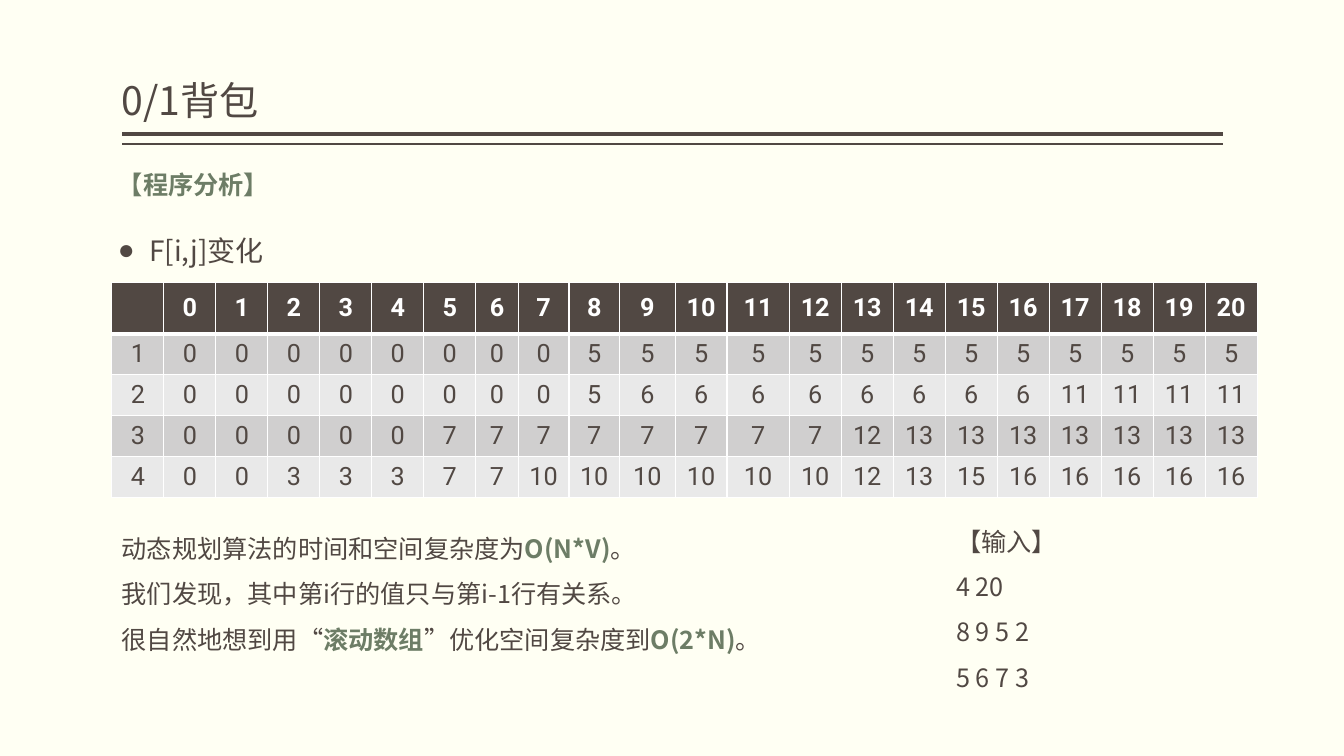
import dataclasses

import lxml.etree
import pptx
import pptx.dml.color
import pptx.enum.shapes
import pptx.enum.text
import pptx.oxml
import pptx.oxml.ns
import pptx.util

Cm = pptx.util.Cm
Pt = pptx.util.Pt
qn = pptx.oxml.ns.qn
MIDDLE = pptx.enum.text.MSO_ANCHOR.MIDDLE
BOTTOM = pptx.enum.text.MSO_ANCHOR.BOTTOM
CENTER = pptx.enum.text.PP_ALIGN.CENTER


@dataclasses.dataclass(frozen=True)
class Theme:
    """Colours, fonts and type sizes of the slide."""
    background: str = "FFFFF3"
    ink: str = "514843"
    accent: str = "6D7D66"
    white: str = "FFFFFF"
    bands: tuple = ("D0CFCF", "E9E9E9")
    text_font: str = "Noto Sans CJK SC"
    table_font: str = "Roboto"
    bullet_font: str = "Arial"
    title_size: int = 28
    bullet_size: int = 20
    body_size: int = 18


THEME = Theme()
CAPACITY = 20
WEIGHTS = (8, 9, 5, 2)
VALUES = (5, 6, 7, 3)
COLUMN_WIDTHS = [1.31] * 7 + [1.07, 1.28, 1.27, 1.41, 1.3, 1.57] + [1.31] * 9
HEADER_HEIGHT, ROW_HEIGHT = 1.3, 1.03

COMPLEXITY_LINES = [
    [("动态规划算法的时间和空间复杂度为", False), ("O(N*V)", True), ("。", False)],
    [("我们发现，其中第i行的值只与第i-1行有关系。", False)],
    [("很自然地想到用“", False), ("滚动数组", True), ("”优化空间复杂度到", False),
     ("O(2*N)", True), ("。", False)],
]
INPUT_LINES = [[(line, False)] for line in ("【输入】", "4 20", "8 9 5 2", "5 6 7 3")]


def rgb(value):
    """Turn a hex string into a colour."""
    return pptx.dml.color.RGBColor.from_string(value)


def apply(target, formats):
    """Set every attribute in the dict on the target."""
    for name, value in formats.items():
        setattr(target, name, value)


def add_run(paragraph, text, size, color, bold=False, font_name=THEME.text_font):
    """Append a run with its font for Latin and East Asian text."""
    run = paragraph.add_run()
    run.text = text
    apply(run.font, {"name": font_name, "size": Pt(size), "bold": bold})
    run.font.color.rgb = rgb(color)
    east_asian = lxml.etree.Element(qn("a:ea"), typeface=font_name)
    run.font._element.find(qn("a:latin")).addnext(east_asian)


def add_text_frame(slide, box, formats=None):
    """Add a wrapping text box and return its frame."""
    frame = slide.shapes.add_textbox(*map(Cm, box)).text_frame
    apply(frame, {"word_wrap": True, **(formats or {})})
    return frame


def add_bullet(paragraph, indent):
    """Give a paragraph a round bullet with a hanging indent."""
    properties = paragraph._p.get_or_add_pPr()
    properties.set("marL", str(Cm(indent)))
    properties.set("indent", str(-Cm(indent)))
    lxml.etree.SubElement(properties, qn("a:buFont"), typeface=THEME.bullet_font)
    lxml.etree.SubElement(properties, qn("a:buChar"), char="●")


def add_title(slide, box):
    """Place the title and the double rule below it."""
    left, top, width, height = box
    frame = add_text_frame(slide, box, {
        "margin_left": 0, "margin_right": 0, "vertical_anchor": BOTTOM})
    paragraph = frame.paragraphs[0]
    paragraph.line_spacing = 0.9
    add_run(paragraph, "0/1背包", THEME.title_size, THEME.ink)
    for gap, weight in ((0.13, 3), (0.38, 1)):
        y = Cm(top + height + gap)
        rule = slide.shapes.add_connector(
            pptx.enum.shapes.MSO_CONNECTOR.STRAIGHT, Cm(left + width), y, Cm(left), y)
        rule.line.color.rgb = rgb(THEME.ink)
        rule.line.width = Pt(weight)
        lxml.etree.SubElement(rule._element.spPr, qn("a:effectLst"))


def add_heading(slide, box):
    """Place the section heading and the bullet line."""
    frame = add_text_frame(slide, box)
    add_run(frame.paragraphs[0], "【程序分析】", THEME.body_size, THEME.accent, True)
    paragraph = frame.add_paragraph()
    add_bullet(paragraph, 0.79)
    paragraph.line_spacing = 2.0
    add_run(paragraph, "F[i,j]变化", THEME.bullet_size, THEME.ink)


def knapsack_rows():
    """Work out the table text: capacities, then the best value per item count."""
    best = [0] * (CAPACITY + 1)
    rows = [["", *range(CAPACITY + 1)]]
    for item, (weight, value) in enumerate(zip(WEIGHTS, VALUES), start=1):
        best = [max(best[room], best[room - weight] + value) if room >= weight
                else best[room] for room in range(CAPACITY + 1)]
        rows.append([item, *best])
    return rows


def add_border(cell, side, weight):
    """Draw one white cell border."""
    line = lxml.etree.SubElement(
        cell._tc.get_or_add_tcPr(), qn(f"a:ln{side}"), w=str(Pt(weight)))
    fill = lxml.etree.SubElement(line, qn("a:solidFill"))
    lxml.etree.SubElement(fill, qn("a:srgbClr"), val=THEME.white)


def add_value_table(slide, left, top):
    """Place the table of F[i,j]."""
    rows = knapsack_rows()
    heights = [HEADER_HEIGHT] + [ROW_HEIGHT] * len(WEIGHTS)
    table = slide.shapes.add_table(
        len(rows), len(COLUMN_WIDTHS), Cm(left), Cm(top),
        Cm(sum(COLUMN_WIDTHS)), Cm(sum(heights))).table
    for column, width in zip(table.columns, COLUMN_WIDTHS):
        column.width = Cm(width)
    for row_index, (values, height) in enumerate(zip(rows, heights)):
        table.rows[row_index].height = Cm(height)
        header = row_index == 0
        fill = THEME.ink if header else THEME.bands[(row_index - 1) % 2]
        color = THEME.white if header else THEME.ink
        weights = {"L": 1, "R": 1, "T": 3 if row_index == 1 else 1, "B": 3 if header else 1}
        for column_index, value in enumerate(values):
            cell = table.cell(row_index, column_index)
            cell.vertical_anchor = MIDDLE
            for side, weight in weights.items():
                add_border(cell, side, weight)
            cell.fill.solid()
            cell.fill.fore_color.rgb = rgb(fill)
            paragraph = cell.text_frame.paragraphs[0]
            paragraph.alignment = CENTER
            if value != "":
                add_run(paragraph, str(value), THEME.body_size, color, header,
                        THEME.table_font)


def add_notes(slide, box, lines):
    """Place lines of body text with accented parts."""
    frame = add_text_frame(slide, box)
    for index, parts in enumerate(lines):
        paragraph = frame.add_paragraph() if index else frame.paragraphs[0]
        paragraph.line_spacing = 1.5
        for text, accented in parts:
            color = THEME.accent if accented else THEME.ink
            add_run(paragraph, text, THEME.body_size, color, accented)


def main():
    """Build the slide and save it."""
    presentation = pptx.Presentation()
    apply(presentation, {"slide_width": Cm(33.87), "slide_height": Cm(19.05)})
    slide = presentation.slides.add_slide(presentation.slide_layouts[6])
    slide.background.fill.solid()
    slide.background.fill.fore_color.rgb = rgb(THEME.background)
    add_title(slide, (3.07, 0.2, 27.74, 3.05))
    add_heading(slide, (2.72, 4.14, 28.45, 4.04))
    add_value_table(slide, 2.82, 7.11)
    add_notes(slide, (2.82, 12.93, 24.36, 4.5), COMPLEXITY_LINES)
    add_notes(slide, (23.85, 12.75, 3.61, 4.75), INPUT_LINES)
    presentation.save("out.pptx")


if __name__ == "__main__":
    main()
